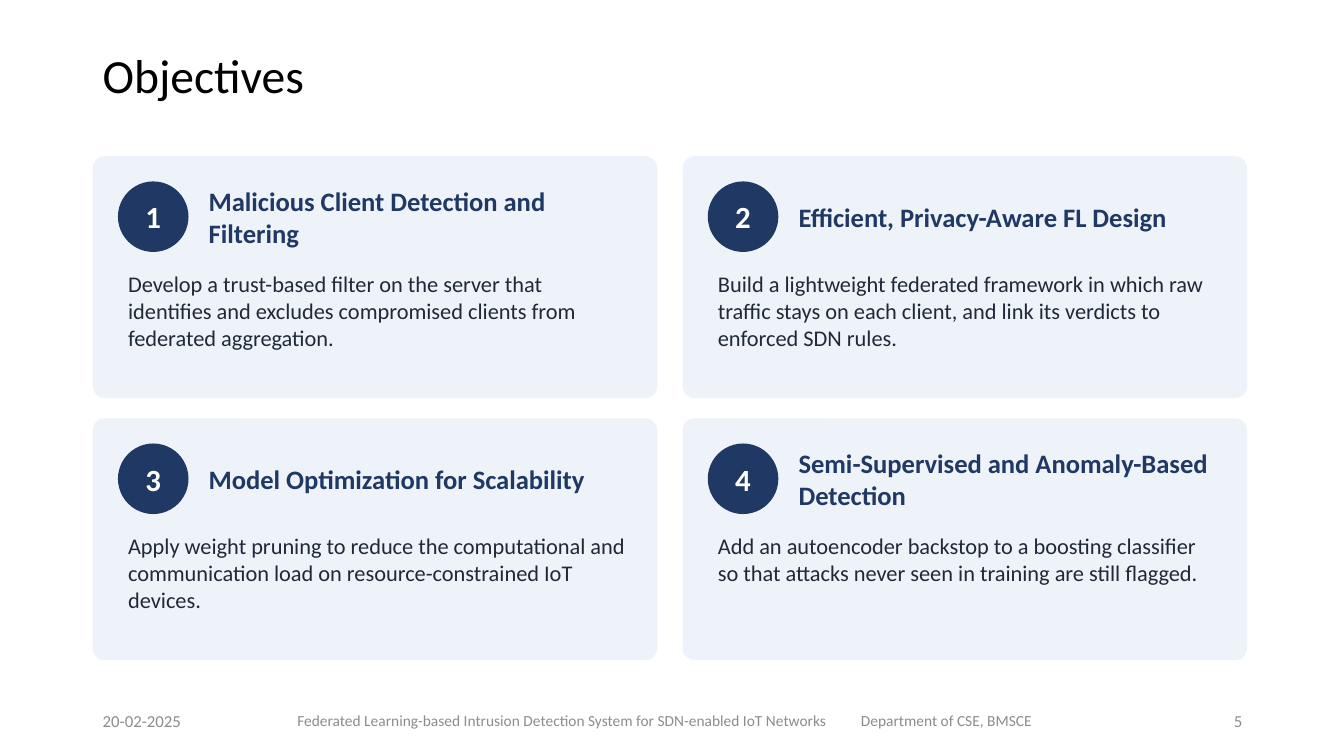
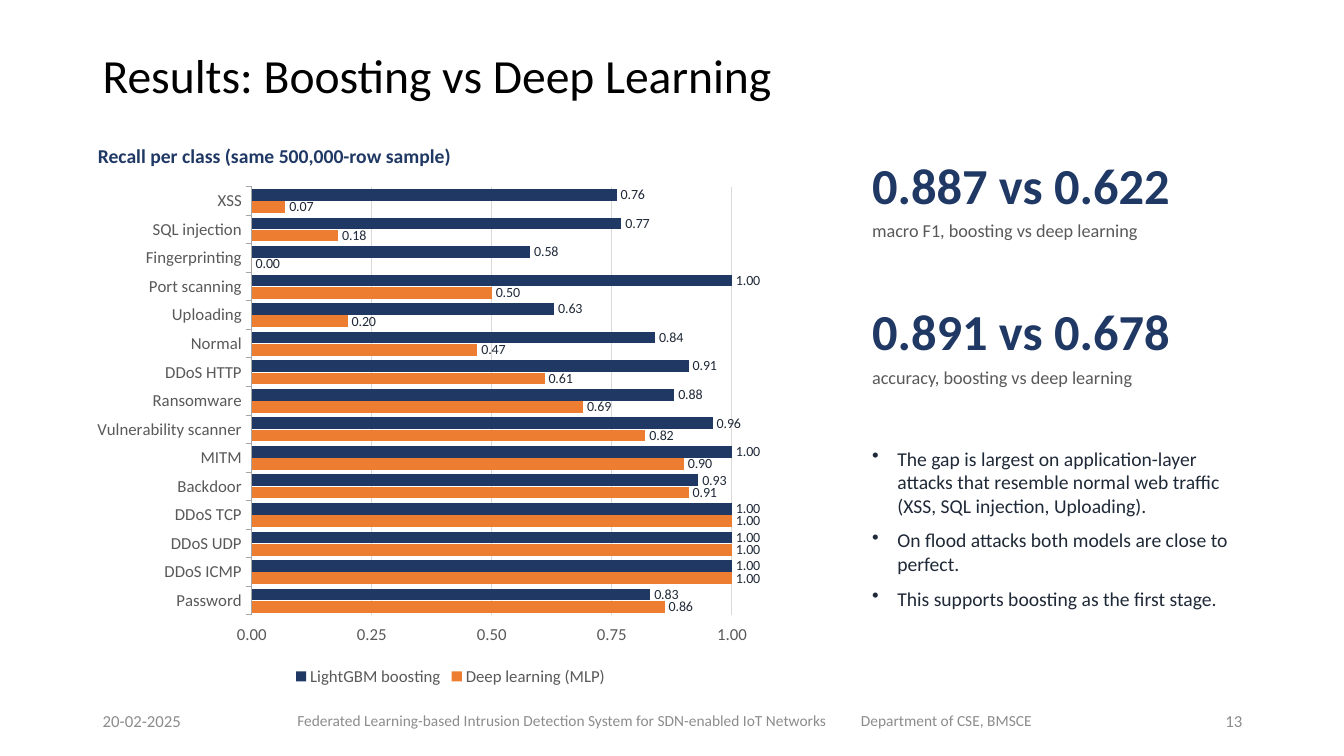
from pptx import Presentation
from pptx.chart.data import CategoryChartData
from pptx.dml.color import RGBColor
from pptx.enum.chart import XL_CHART_TYPE as CHART, XL_LABEL_POSITION as LABEL
from pptx.enum.chart import XL_LEGEND_POSITION as LEGEND, XL_TICK_MARK as TICK
from pptx.enum.shapes import MSO_SHAPE as SHAPE
from pptx.enum.text import MSO_ANCHOR as ANCHOR, PP_ALIGN as ALIGN
from pptx.oxml.ns import qn
from pptx.util import Inches, Pt
from lxml import etree

FONT = "Calibri"
COLORS = {
    "title": "000000",
    "navy": "1F3864",
    "orange": "ED7D31",
    "card": "EEF3FA",
    "body": "1F2937",
    "muted": "595959",
    "footer": "8C8C8C",
    "axis": "A6A6A6",
    "grid": "D9D9D9",
    "white": "FFFFFF",
}
LEFT = 0.92
WIDE_INSETS = (0.1, 0.05)
TIGHT_INSETS = (0.05, 0.03)

OBJECTIVES = [
    ("Malicious Client Detection and Filtering",
     "Develop a trust-based filter on the server that identifies and excludes "
     "compromised clients from federated aggregation."),
    ("Efficient, Privacy-Aware FL Design",
     "Build a lightweight federated framework in which raw traffic stays on each "
     "client, and link its verdicts to enforced SDN rules."),
    ("Model Optimization for Scalability",
     "Apply weight pruning to reduce the computational and communication load on "
     "resource-constrained IoT devices."),
    ("Semi-Supervised and Anomaly-Based Detection",
     "Add an autoencoder backstop to a boosting classifier so that attacks never "
     "seen in training are still flagged."),
]

RECALL = [
    ("Password", 0.86, 0.83),
    ("DDoS ICMP", 1, 1),
    ("DDoS UDP", 1, 1),
    ("DDoS TCP", 1, 1),
    ("Backdoor", 0.91, 0.93),
    ("MITM", 0.9, 1),
    ("Vulnerability scanner", 0.82, 0.96),
    ("Ransomware", 0.69, 0.88),
    ("DDoS HTTP", 0.61, 0.91),
    ("Normal", 0.47, 0.84),
    ("Uploading", 0.2, 0.63),
    ("Port scanning", 0.5, 1),
    ("Fingerprinting", 0, 0.58),
    ("SQL injection", 0.18, 0.77),
    ("XSS", 0.07, 0.76),
]

METRICS = [
    ("0.887 vs 0.622", "macro F1, boosting vs deep learning"),
    ("0.891 vs 0.678", "accuracy, boosting vs deep learning"),
]

FINDINGS = [
    "The gap is largest on application-layer attacks that resemble normal web "
    "traffic (XSS, SQL injection, Uploading).",
    "On flood attacks both models are close to perfect.",
    "This supports boosting as the first stage.",
]


def rgb(name):
    return RGBColor.from_string(COLORS[name])


def style_font(font, size, color, bold=False):
    font.name = FONT
    font.size = Pt(size)
    font.bold = bold
    font.color.rgb = rgb(color)


def style_line(line, color):
    line.color.rgb = rgb(color)
    line.width = Pt(0.75)


def add_bullet(p):
    pPr = p._p.get_or_add_pPr()
    pPr.set("marL", str(Inches(0.25)))
    pPr.set("indent", str(Inches(-0.25)))
    etree.SubElement(pPr, qn("a:buChar")).set("char", "•")


def fill_text(sp, lines, size, color, bold=False, align=ALIGN.LEFT,
              anchor=ANCHOR.TOP, insets=TIGHT_INSETS, bullets=False):
    tf = sp.text_frame
    tf.word_wrap = True
    tf.vertical_anchor = anchor
    tf.margin_left = tf.margin_right = Inches(insets[0])
    tf.margin_top = tf.margin_bottom = Inches(insets[1])
    for i, line in enumerate(lines):
        p = tf.add_paragraph() if i else tf.paragraphs[0]
        p.alignment = align
        if bullets:
            p.space_after = Pt(8)
            add_bullet(p)
        r = p.add_run()
        r.text = line
        style_font(r.font, size, color, bold)


def add_text(s, box, lines, size, color, **options):
    sp = s.shapes.add_textbox(*map(Inches, box))
    fill_text(sp, lines, size, color, **options)
    return sp


def add_filled(s, kind, box, color):
    sp = s.shapes.add_shape(kind, *map(Inches, box))
    sp.shadow.inherit = False
    sp.fill.solid()
    sp.fill.fore_color.rgb = rgb(color)
    sp.line.fill.background()
    return sp


def add_slide(prs, title, number):
    s = prs.slides.add_slide(prs.slide_layouts[6])
    style = {"anchor": ANCHOR.MIDDLE, "insets": WIDE_INSETS}
    sp = add_text(s, (LEFT, 0.3, 10.9, 0.95), [title], 34, "title", **style)
    sp.text_frame.paragraphs[0].line_spacing = 0.9
    footers = [
        (LEFT, 1.8, "20-02-2025", 12, ALIGN.LEFT),
        (2.85, 5.55, "Federated Learning-based Intrusion Detection System for "
         "SDN-enabled IoT Networks", 11, ALIGN.LEFT),
        (8.44, 2.4, "Department of CSE, BMSCE", 11, ALIGN.LEFT),
        (11.42, 1, str(number), 12, ALIGN.RIGHT),
    ]
    for x, width, text, size, align in footers:
        add_text(s, (x, 6.95, width, 0.4), [text], size, "footer",
                 align=align, **style)
    return s


def add_card(s, x, y, number, heading, body):
    card = add_filled(s, SHAPE.ROUNDED_RECTANGLE, (x, y, 5.6, 2.4), "card")
    card.adjustments[0] = 0.05
    badge = add_filled(s, SHAPE.OVAL, (x + 0.25, y + 0.25, 0.7, 0.7), "navy")
    fill_text(badge, [str(number)], 22, "white", bold=True,
              align=ALIGN.CENTER, anchor=ANCHOR.MIDDLE)
    add_text(s, (x + 1.1, y + 0.2, 4.35, 0.8), [heading], 19, "navy",
             bold=True, anchor=ANCHOR.MIDDLE)
    add_text(s, (x + 0.3, y + 1.1, 5.05, 1.3), [body], 16, "body")


def style_axes(chart):
    cat = chart.category_axis
    cat.major_tick_mark = TICK.OUTSIDE
    cat.has_major_gridlines = False
    style_line(cat.format.line, "axis")
    val = chart.value_axis
    val.minimum_scale, val.maximum_scale, val.major_unit = 0, 1.15, 0.25
    val.major_tick_mark = TICK.OUTSIDE
    val.format.line.fill.background()
    val.has_major_gridlines = True
    style_line(val.major_gridlines.format.line, "grid")
    val.tick_labels.number_format = "0.00"
    val.tick_labels.number_format_is_linked = False
    for axis in (cat, val):
        style_font(axis.tick_labels.font, 12, "muted")


def style_series(series, color):
    series.format.fill.solid()
    series.format.fill.fore_color.rgb = rgb(color)
    series.invert_if_negative = False
    labels = series.data_labels
    labels.show_value = True
    labels.position = LABEL.OUTSIDE_END
    labels.number_format = "0.00"
    labels.number_format_is_linked = False
    style_font(labels.font, 10, "body")


def add_recall_chart(s, box):
    classes, deep, boosting = zip(*RECALL)
    data = CategoryChartData(number_format="0.00")
    data.categories = classes
    data.add_series("Deep learning (MLP)", deep)
    data.add_series("LightGBM boosting", boosting)
    chart = s.shapes.add_chart(CHART.BAR_CLUSTERED, *map(Inches, box), data).chart
    style_font(chart.font, 12, "muted")
    chart.has_title = False
    chart.has_legend = True
    chart.legend.position = LEGEND.BOTTOM
    chart.legend.include_in_layout = False
    style_font(chart.legend.font, 12, "muted")
    style_axes(chart)
    plot = chart.plots[0]
    plot.vary_by_categories = False
    plot.gap_width, plot.overlap = 40, -5
    for series, color in zip(plot.series, ("orange", "navy")):
        style_series(series, color)


def add_metric(s, x, y, value, caption):
    add_text(s, (x, y, 3.8, 0.7), [value], 36, "navy", bold=True)
    add_text(s, (x, y + 0.65, 3.8, 0.8), [caption], 13, "muted")


def build_objectives(prs):
    s = add_slide(prs, "Objectives", 5)
    for i, (heading, body) in enumerate(OBJECTIVES):
        row, col = divmod(i, 2)
        add_card(s, LEFT + col * 5.85, 1.55 + row * 2.6, i + 1, heading, body)


def build_results(prs):
    s = add_slide(prs, "Results: Boosting vs Deep Learning", 13)
    add_text(s, (LEFT, 1.4, 7, 0.4),
             ["Recall per class (same 500,000-row sample)"], 14, "navy", bold=True)
    add_recall_chart(s, (0.82, 1.75, 7.3, 5.1))
    for i, (value, caption) in enumerate(METRICS):
        add_metric(s, 8.6, 1.5 + i * 1.45, value, caption)
    add_text(s, (8.6, 4.4, 3.8, 2.4), FINDINGS, 14, "body", bullets=True)


def main():
    prs = Presentation()
    prs.slide_width, prs.slide_height = Inches(13.33), Inches(7.5)
    build_objectives(prs)
    build_results(prs)
    prs.save("out.pptx")


if __name__ == "__main__":
    main()
